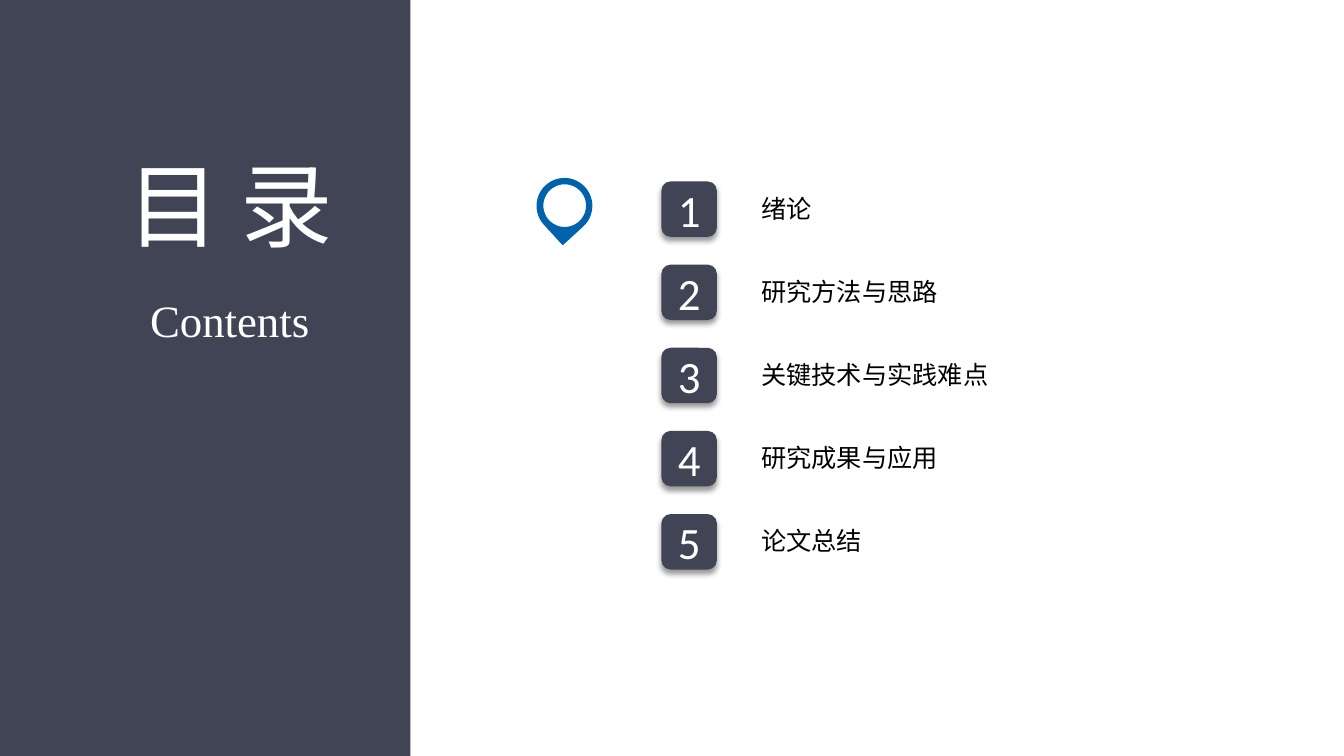
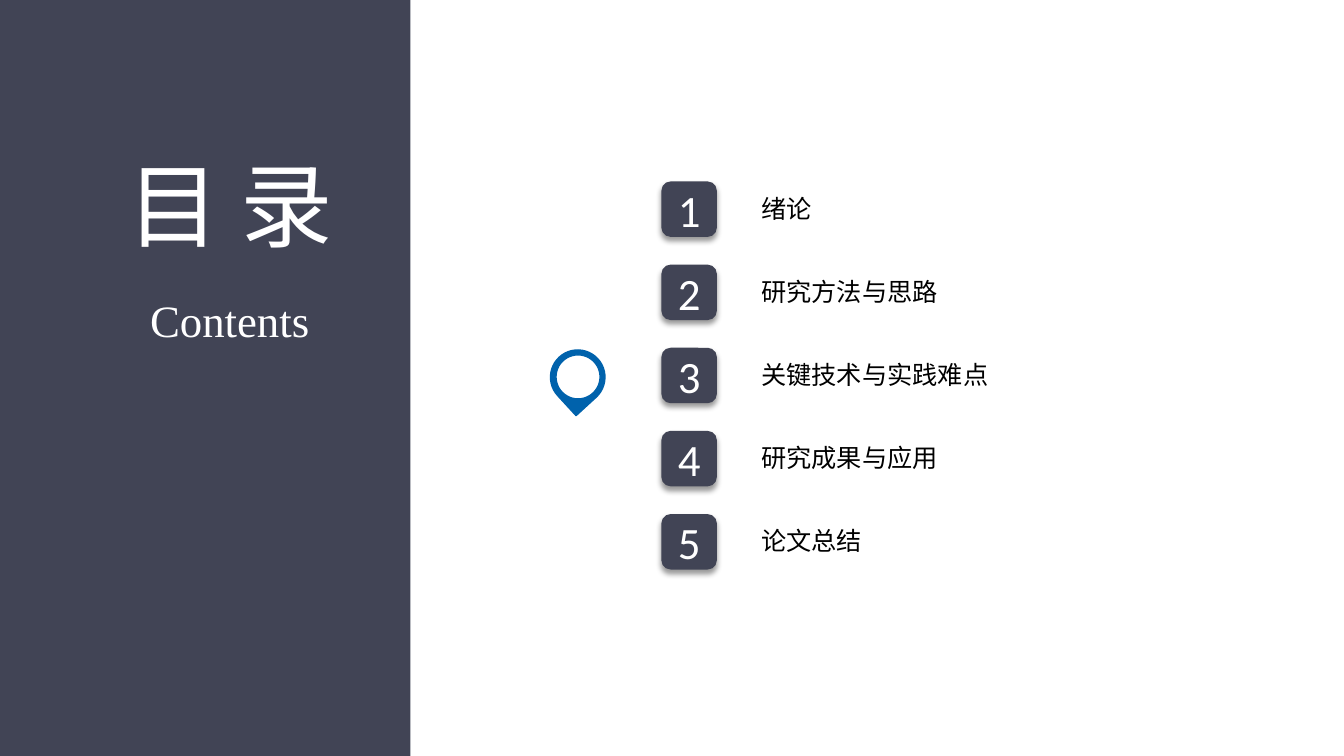
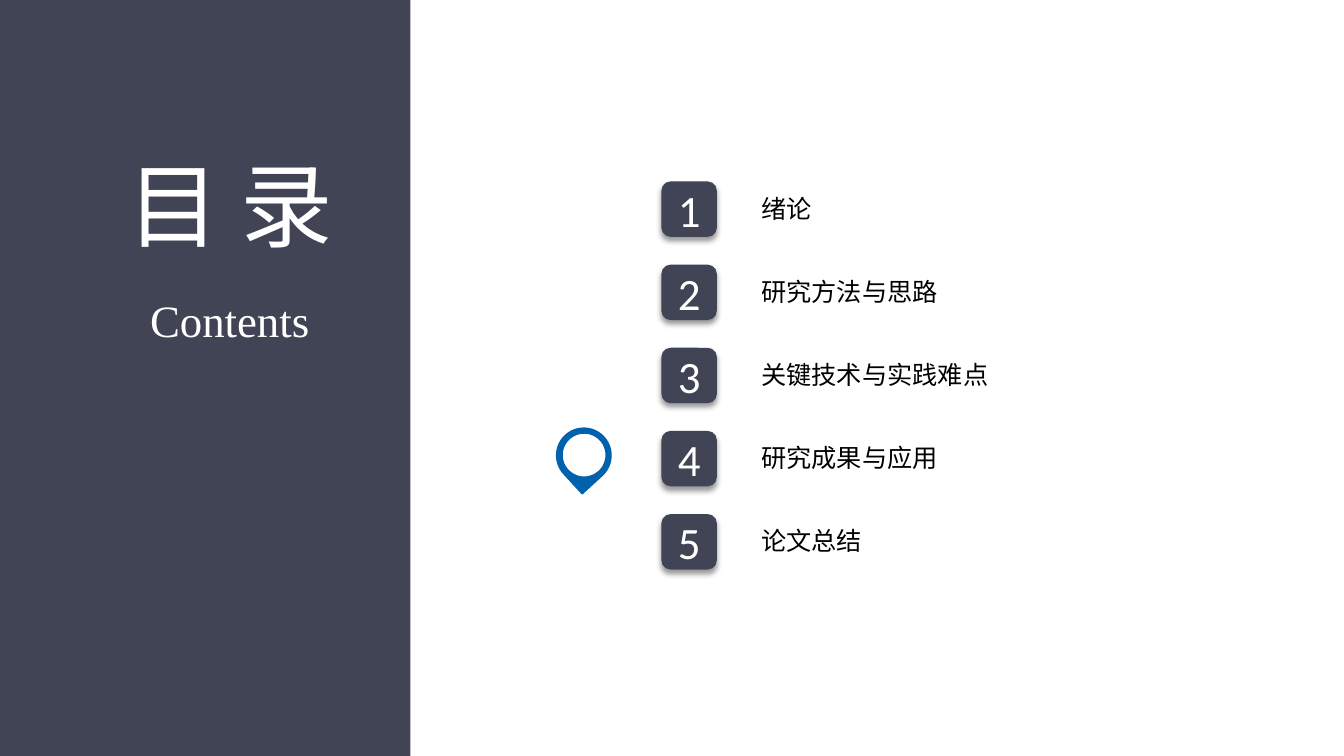
from collections import namedtuple

from lxml import etree
from pptx import Presentation
from pptx.dml.color import RGBColor
from pptx.enum.shapes import MSO_SHAPE
from pptx.enum.text import MSO_ANCHOR, MSO_AUTO_SIZE, PP_ALIGN
from pptx.oxml.ns import qn
from pptx.util import Inches, Pt

RECT, ROUND = MSO_SHAPE.RECTANGLE, MSO_SHAPE.ROUNDED_RECTANGLE
TEAR, OVAL = MSO_SHAPE.TEAR, MSO_SHAPE.OVAL
CENTER, MIDDLE = PP_ALIGN.CENTER, MSO_ANCHOR.MIDDLE
GROW = MSO_AUTO_SIZE.SHAPE_TO_FIT_TEXT

COLORS = {"slate": "414455", "blue": "0062AC", "white": "FFFFFF", "black": "000000"}
HAN, LATIN, SERIF = "Noto Sans CJK SC", "Calibri", "Times New Roman"

Box = namedtuple("Box", "x y w h")
PANEL = Box(0, 0, 4.07, 7.5)
LIST = Box(6.56, 1.8, 3.36, 4.125)

TOPICS = ["绪论", "研究方法与思路", "关键技术与实践难点", "研究成果与应用", "论文总结"]
ROW = LIST.h / len(TOPICS)
BADGE = ROW * 2 / 3
PINS = [(0, -2.24, -0.05), (2, -2, 0.04), (3, -1.89, -0.05)]


def color(name):
    return RGBColor.from_string(COLORS[name])


def place(box):
    return [Inches(v) for v in box]


def draw(shapes, kind, box, fill, line=None):
    shape = shapes.add_shape(kind, *place(box))
    shape.shadow.inherit = False
    shape.fill.solid()
    shape.fill.fore_color.rgb = color(fill)
    if line:
        shape.line.color.rgb = color(line)
        shape.line.width = Pt(1)
    else:
        shape.line.fill.background()
    return shape


def write(shape, text, size, face, tint):
    para = shape.text_frame.paragraphs[0]
    run = para.add_run()
    run.text = text
    para.alignment = CENTER
    font = para.font
    font.size, font.name = Pt(size), face
    font.color.rgb = color(tint)
    if face == HAN:
        props = run.font
        props.name = face
        east = etree.SubElement(run._r.get_or_add_rPr(), qn("a:ea"))
        east.set("typeface", face)


def label(slide, box, text, size, face, tint):
    shape = slide.shapes.add_textbox(*place(box))
    shape.text_frame.word_wrap = False
    shape.text_frame.auto_size = GROW
    write(shape, text, size, face, tint)


def shade(shape):
    effects = shape._element.spPr.find(qn("a:effectLst"))
    outer = etree.SubElement(effects, qn("a:outerShdw"), blurRad=str(Pt(4)),
                             dist=str(Pt(3)), dir="5400000", rotWithShape="0")
    tint = etree.SubElement(outer, qn("a:srgbClr"), val=COLORS["black"])
    etree.SubElement(tint, qn("a:alpha"), val="40000")


def topic(slide, box, number, text):
    badge = draw(slide.shapes, ROUND, Box(box.x, box.y, BADGE, BADGE), "slate")
    shade(badge)
    badge.text_frame.vertical_anchor = MIDDLE
    write(badge, str(number), 32, LATIN, "white")
    width = 0.2 + 0.25 * len(text)
    spot = Box(box.x + 1.08 * box.h, box.y + 0.08 * box.h, width, 0.4)
    label(slide, spot, text, 18, HAN, "black")


def topics(slide, box):
    for i, text in enumerate(TOPICS):
        topic(slide, Box(box.x, box.y + i * ROW, box.w, ROW), i + 1, text)


def panel(slide, box):
    draw(slide.shapes, RECT, box, "slate")
    left, width = box.x + 0.25 * box.w, 0.62 * box.w
    for top, tall, text, size, face in [(0.19, 0.16, "目 录", 66, HAN),
                                        (0.38, 0.09, "Contents", 32, SERIF)]:
        spot = Box(left, box.y + top * box.h, width, tall * box.h)
        label(slide, spot, text, size, face, "white")


def pin(slide, box):
    group = slide.shapes.add_group_shape()
    drop = draw(group.shapes, TEAR, box, "blue", "blue")
    drop.rotation = 137.5
    hole = Box(box.x + 0.1 * box.w, box.y + 0.09 * box.h, 0.81 * box.w, 0.81 * box.h)
    draw(group.shapes, OVAL, hole, "white", "blue")


def contents(deck, row, across, down):
    slide = deck.slides.add_slide(deck.slide_layouts[6])
    topics(slide, LIST)
    panel(slide, PANEL)
    pin(slide, Box(LIST.x + across * BADGE, LIST.y + row * ROW + down * BADGE, 0.54, 0.54))


def main():
    deck = Presentation()
    deck.slide_width, deck.slide_height = Inches(13.33), Inches(7.5)
    for spot in PINS:
        contents(deck, *spot)
    deck.save("out.pptx")


if __name__ == "__main__":
    main()
